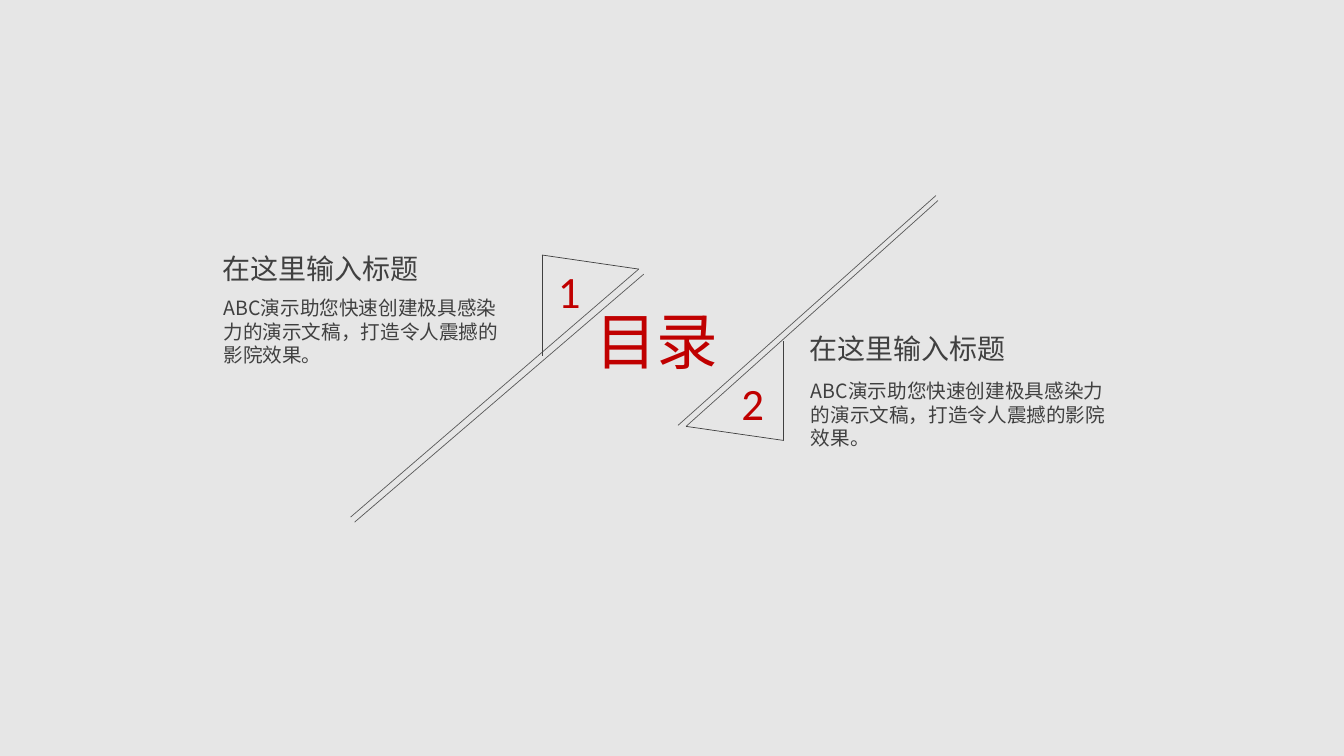
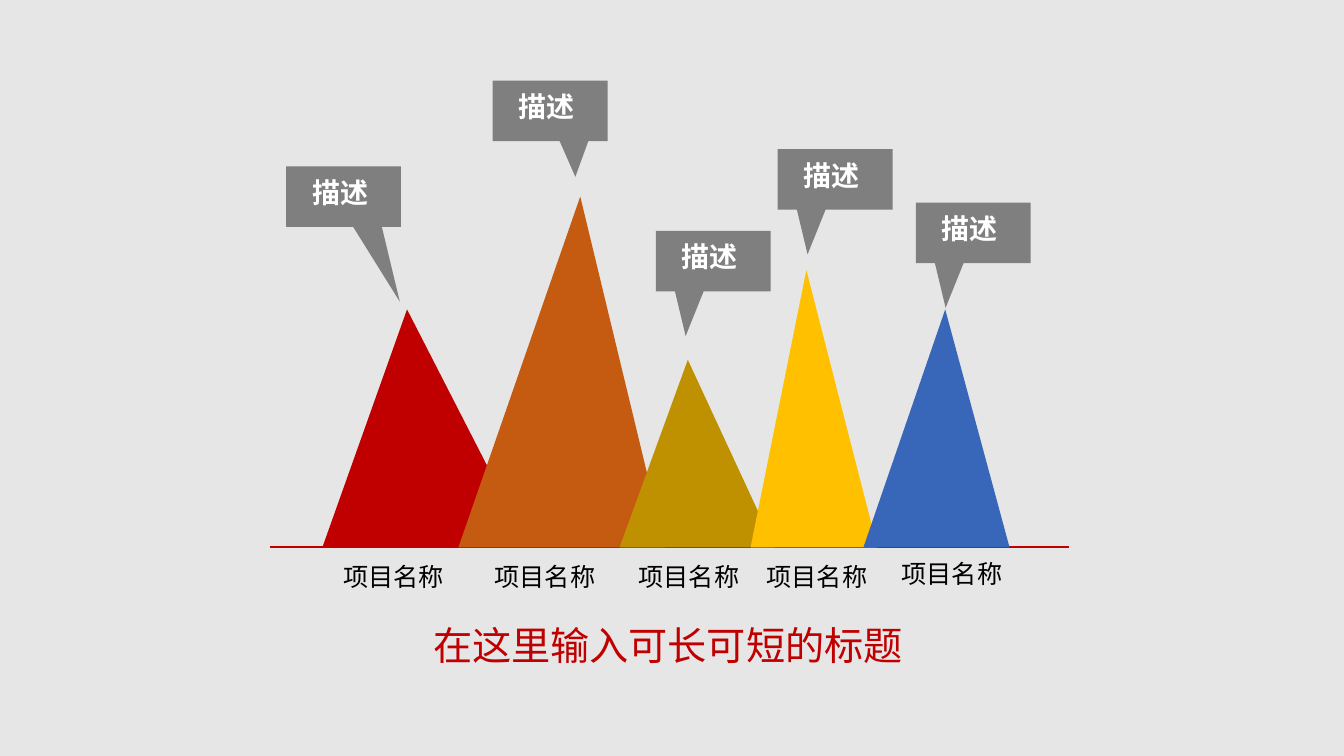
from dataclasses import dataclass
from itertools import pairwise

from lxml.etree import SubElement
from pptx import Presentation
from pptx.dml.color import RGBColor
from pptx.enum.shapes import MSO_CONNECTOR, MSO_SHAPE
from pptx.oxml.ns import qn
from pptx.util import Inches, Pt

# Shared style; positions count cells of a 133.4 by 75 grid
CELL = 0.1
COLS, ROWS = 133.4, 75
CJK, LATIN = "Noto Sans CJK SC", "Calibri"
COLORS = {
    "background": "E6E6E6", "red": "C00000", "orange": "C55A11",
    "olive": "BF9000", "yellow": "FFC000", "blue": "3866B8",
    "rule": "595959", "text": "404040", "callout": "7F7F7F",
    "white": "FFFFFF", "black": "000000",
}
Point = tuple[float, float]


@dataclass(frozen=True)
class TextStyle:
    size: int
    color: str
    font: str = CJK
    bold: bool = False


CONTENTS = TextStyle(44, "red")
TITLE = TextStyle(28, "red")
HEADING = TextStyle(20, "text")
BODY = TextStyle(14, "text")
NUMBER = TextStyle(32, "red", LATIN)
LABEL = TextStyle(18, "black", LATIN)
CALLOUT = TextStyle(20, "white", bold=True)


@dataclass(frozen=True)
class Entry:
    number: str
    number_at: Point
    heading_at: Point
    body_at: Point
    body_width: float
    rules: tuple[tuple[Point, Point], ...]
    corner: tuple[Point, ...]


@dataclass(frozen=True)
class Peak:
    color: str
    left: float
    width: float
    height: float
    tip: float
    label_left: float
    callout_at: Point
    pointer: Point = (-0.24, 1.24)
    label_top: float = 55.2


ENTRIES = [
    Entry("1", (54.4, 25.7), (21.1, 24.5), (21.2, 28.9), 30.7,
          (((34.8, 51.3), (63.4, 26.7)), ((35.2, 51.8), (63.9, 27.2))),
          ((63.4, 26.7), (53.8, 25.3), (53.8, 35.3))),
    Entry("2", (72.6, 36.8), (79.4, 32.4), (79.5, 37.1), 32.4,
          (((68.1, 42.3), (93.1, 19.9)), ((67.3, 42.2), (92.9, 19.4))),
          ((68.1, 42.3), (77.8, 43.7), (77.8, 33.8))),
]
BASE = 54.3
PEAKS = [
    Peak("red", 32, 20.5, 23.6, 0.41, 33.1, (28.4, 16.5), (0.49, 1.74)),
    Peak("orange", 45.5, 20.5, 34.8, 0.59, 48.1, (48.9, 8), (0.22, 1.09)),
    Peak("olive", 61.5, 15.4, 18.6, 0.44, 62.4, (65.1, 22.9)),
    Peak("yellow", 74.5, 12.6, 27.5, 0.44, 75.1, (77.2, 14.8)),
    Peak("blue", 85.7, 14.5, 23.6, 0.56, 88.5, (90.9, 20.1), label_top=54.9),
]


def cells(n: float) -> int:
    return Inches(n * CELL)


def rgb(name: str) -> RGBColor:
    return RGBColor.from_string(COLORS[name])


def add_text(s, text: str, at: Point, width: float, height: float, style: TextStyle) -> None:
    tf = s.shapes.add_textbox(*map(cells, (*at, width, height))).text_frame
    tf.word_wrap = True
    r = tf.paragraphs[0].add_run()
    r.text = text
    r.font.size = Pt(style.size)
    r.font.bold = style.bold
    r.font.name = style.font
    r.font.color.rgb = rgb(style.color)
    SubElement(r.font._element, qn("a:ea")).set("typeface", CJK)


def add_line(s, start: Point, end: Point, color: str, width: float = 0.5) -> None:
    line = s.shapes.add_connector(MSO_CONNECTOR.STRAIGHT, *map(cells, (*start, *end)))
    line.line.color.rgb = rgb(color)
    line.line.width = Pt(width)
    SubElement(line._element.spPr, qn("a:effectLst"))


def add_filled(s, kind: MSO_SHAPE, at: Point, width: float, height: float,
               color: str, adjustments: tuple[float, ...]) -> None:
    sp = s.shapes.add_shape(kind, *map(cells, (*at, width, height)))
    sp.shadow.inherit = False
    sp.fill.solid()
    sp.fill.fore_color.rgb = rgb(color)
    sp.line.fill.background()
    for i, value in enumerate(adjustments):
        sp.adjustments[i] = value


def build_contents(s) -> None:
    add_text(s, "目录", (58.1, 29.6), 14.8, 8.4, CONTENTS)
    for entry in ENTRIES:
        # Double diagonal and the corner that holds the number
        for start, end in entry.rules:
            add_line(s, start, end, "rule")
        for start, end in pairwise(entry.corner):
            add_line(s, start, end, "text")
        add_text(s, entry.number, entry.number_at, 5, 6.4, NUMBER)
        # Heading and description
        add_text(s, "在这里输入标题", entry.heading_at, 24.3, 4.4, HEADING)
        add_text(s, "ABC演示助您快速创建极具感染力的演示文稿，打造令人震撼的影院效果。",
                 entry.body_at, entry.body_width, 8, BODY)


def build_peaks(s) -> None:
    add_line(s, (26.8, BASE), (106.1, BASE), "red", 1.5)
    for peak in PEAKS:
        # Mountain standing on the base line, with its label below
        add_filled(s, MSO_SHAPE.ISOSCELES_TRIANGLE, (peak.left, BASE - peak.height),
                   peak.width, peak.height, peak.color, (peak.tip,))
        add_text(s, "项目名称", (peak.label_left, peak.label_top), 13, 4, LABEL)
        # Callout pointing at the summit
        x, y = peak.callout_at
        add_filled(s, MSO_SHAPE.RECTANGULAR_CALLOUT, (x, y), 11.4, 6, "callout", peak.pointer)
        add_text(s, "描述", (x + 1.6, y + 0.4), 9.8, 4.4, CALLOUT)
    add_text(s, "在这里输入可长可短的标题", (42, 61.1), 52.1, 5.7, TITLE)


def main() -> None:
    prs = Presentation()
    prs.slide_width, prs.slide_height = cells(COLS), cells(ROWS)
    fill = prs.slide_master.background.fill
    fill.solid()
    fill.fore_color.rgb = rgb("background")
    for build in (build_contents, build_peaks):
        build(prs.slides.add_slide(prs.slide_layouts[6]))
    prs.save("out.pptx")


if __name__ == "__main__":
    main()
